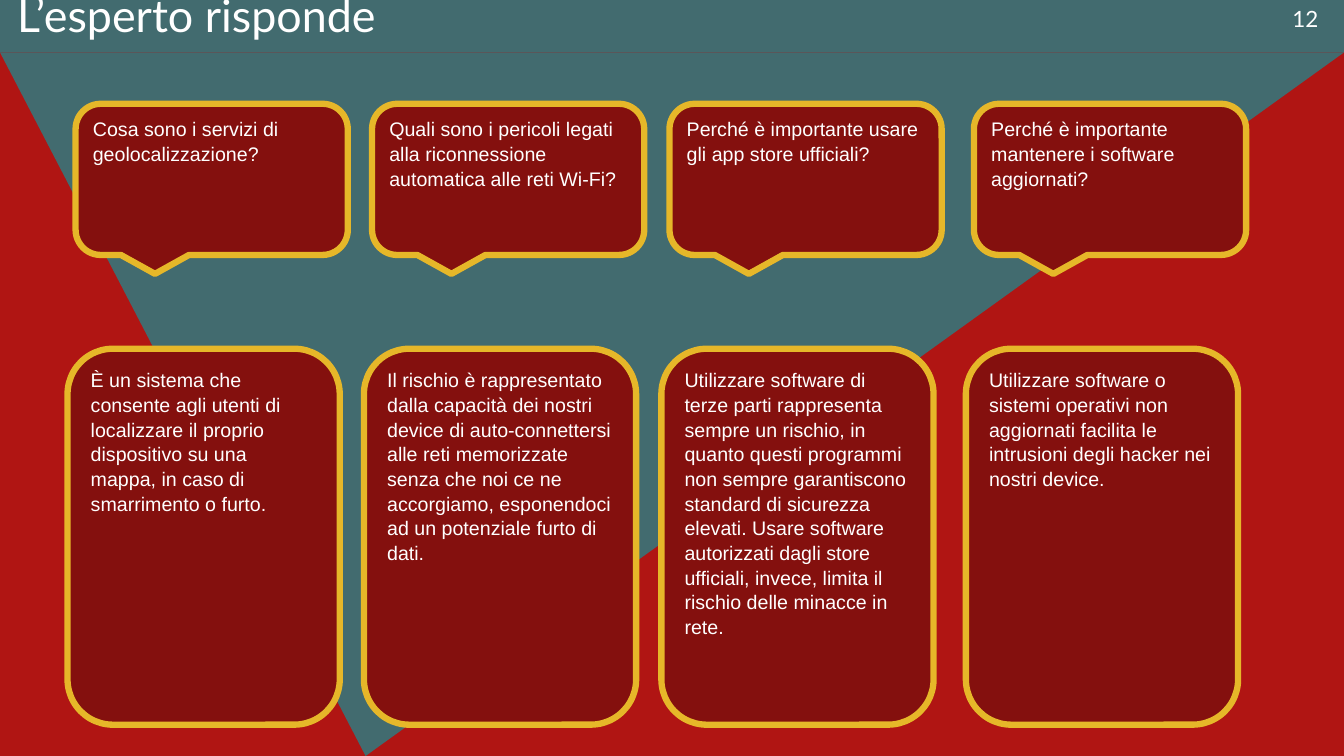
from pptx import Presentation
from pptx.dml.color import RGBColor
from pptx.enum.shapes import MSO_SHAPE
from pptx.enum.text import MSO_ANCHOR, MSO_AUTO_SIZE, PP_ALIGN
from pptx.util import Inches, Pt

TITLE = "L’esperto risponde"
PAGE_NUMBER = "12"
FAQ = [
    ("Cosa sono i servizi di geolocalizzazione?",
     "È un sistema che consente agli utenti di localizzare il proprio dispositivo "
     "su una mappa, in caso di smarrimento o furto."),
    ("Quali sono i pericoli legati alla riconnessione automatica alle reti Wi-Fi?",
     "Il rischio è rappresentato dalla capacità dei nostri device di auto-connettersi "
     "alle reti memorizzate senza che noi ce ne accorgiamo, esponendoci ad un "
     "potenziale furto di dati."),
    ("Perché è importante usare gli app store ufficiali?",
     "Utilizzare software di terze parti rappresenta sempre un rischio, in quanto "
     "questi programmi non sempre garantiscono standard di sicurezza elevati. Usare "
     "software autorizzati dagli store ufficiali, invece, limita il rischio delle "
     "minacce in rete."),
    ("Perché è importante mantenere i software aggiornati?",
     "Utilizzare software o sistemi operativi non aggiornati facilita le intrusioni "
     "degli hacker nei nostri device."),
]
COLORS = {"red": "B01513", "teal": "426B6F", "card": "84100E",
          "gold": "E6B729", "white": "FFFFFF"}

SLIDE_W, SLIDE_H = 13.33, 7.5
BAR_H = 0.52
COLUMN_LEFTS = [0.75, 3.69, 6.64, 9.66]
CARD_W = 2.7
QUESTION_TOP, QUESTION_H = 1.03, 1.5
ANSWER_TOP, ANSWER_H = 3.46, 3.73
ANSWER_SHIFT = -0.08


def color(name):
    return RGBColor.from_string(COLORS[name])


def write(frame, text, size, font_name):
    frame.word_wrap = True
    frame.auto_size = MSO_AUTO_SIZE.NONE
    frame.vertical_anchor = MSO_ANCHOR.TOP
    paragraph = frame.paragraphs[0]
    paragraph.text = text
    paragraph.alignment = PP_ALIGN.LEFT
    paragraph.font.size = Pt(size)
    paragraph.font.name = font_name
    paragraph.font.color.rgb = color("white")
    return paragraph


def add_block(kind, left, top, width, height, fill):
    block = slide.shapes.add_shape(
        kind, Inches(left), Inches(top), Inches(width), Inches(height))
    block.shadow.inherit = False
    block.fill.solid()
    block.fill.fore_color.rgb = color(fill)
    block.line.fill.background()
    return block


def add_card(kind, left, top, height, text):
    card = add_block(kind, left, top, CARD_W, height, "card")
    card.line.color.rgb = color("gold")
    card.line.width = Pt(4.5)
    paragraph = write(card.text_frame, text, 14, "Arial")
    paragraph.line_spacing = 1.05


prs = Presentation()
prs.slide_width, prs.slide_height = Inches(SLIDE_W), Inches(SLIDE_H)
slide = prs.slides.add_slide(prs.slide_layouts[5])

# Background: red field, inverted teal triangle and top bar
slide.background.fill.solid()
slide.background.fill.fore_color.rgb = color("red")
triangle = add_block(MSO_SHAPE.ISOSCELES_TRIANGLE, 0, BAR_H,
                     SLIDE_W, SLIDE_H - BAR_H, "teal")
triangle.rotation = 180
triangle.adjustments[0] = 0.728
add_block(MSO_SHAPE.RECTANGLE, 0, 0, SLIDE_W, BAR_H, "teal")

# Title, brought in front of the bar, and page number
title = slide.shapes.title
title.left, title.top = Inches(0.07), Inches(-0.17)
title.width, title.height = Inches(12.57), Inches(0.37)
write(title.text_frame, TITLE, 32, "Lato")
slide.shapes._spTree.append(title._element)
page_number = slide.shapes.add_textbox(
    Inches(12.72), Inches(0), Inches(0.55), Inches(0.37))
write(page_number.text_frame, PAGE_NUMBER, 16, "Lato")

# Questions above their answers
for left, (question, answer) in zip(COLUMN_LEFTS, FAQ):
    add_card(MSO_SHAPE.ROUNDED_RECTANGULAR_CALLOUT, left,
             QUESTION_TOP, QUESTION_H, question)
    add_card(MSO_SHAPE.ROUNDED_RECTANGLE, left + ANSWER_SHIFT,
             ANSWER_TOP, ANSWER_H, answer)

prs.save("out.pptx")
